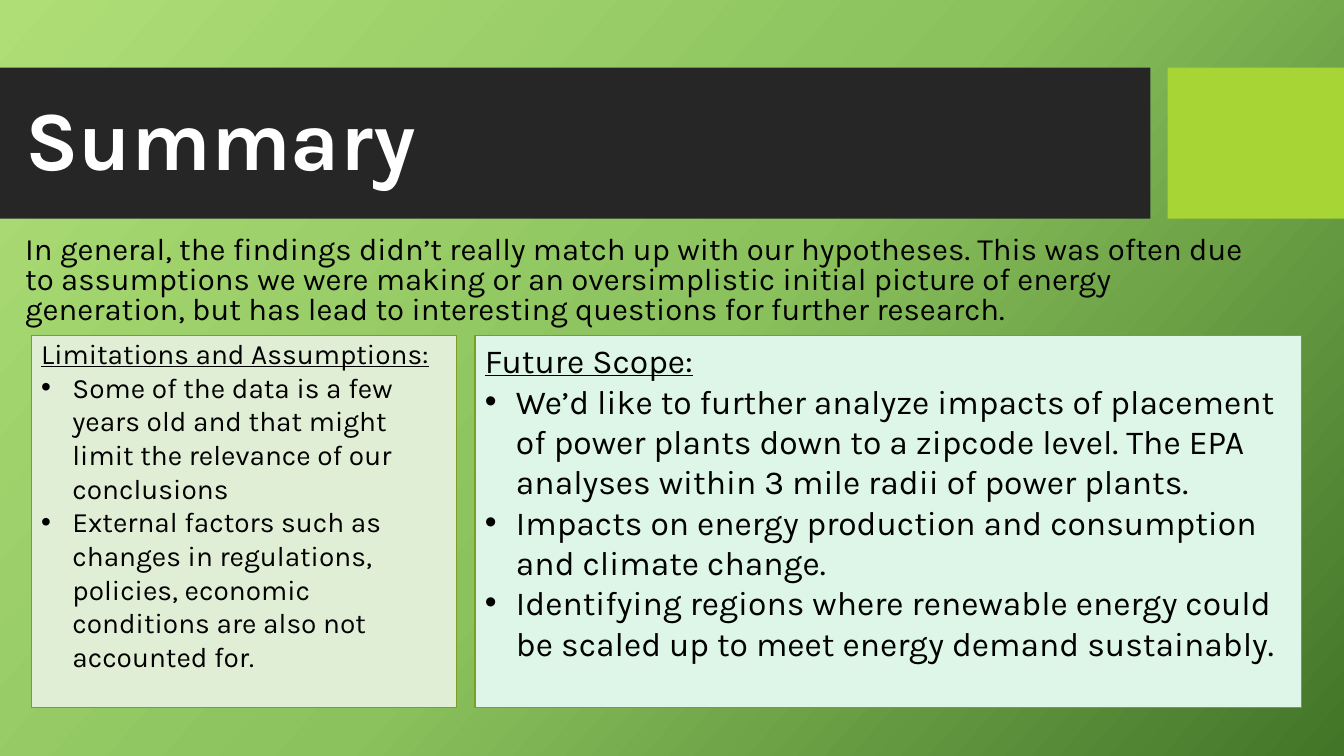
from copy import deepcopy

from pptx import Presentation
from pptx.dml.color import RGBColor
from pptx.enum.shapes import MSO_SHAPE
from pptx.enum.text import MSO_ANCHOR, MSO_AUTO_SIZE, PP_ALIGN
from pptx.oxml.ns import qn
from pptx.util import Inches, Pt
from lxml.etree import SubElement

FONT = "Karla"
WIDTH, HEIGHT = 13.33, 7.5
COLORS = {
    "sky": "AFDE77", "leaf": "8BC25D", "forest": "437528",
    "band": "262626", "lime": "A7D535", "border": "7C9E27",
    "sage": "E1EED6", "mint": "DDF6E7", "white": "FFFFFF", "black": "000000",
}
INTRO = ("In general, the findings didn’t really match up with our hypotheses. "
         "This was often due to assumptions we were making or an oversimplistic "
         "initial picture of energy generation, but has lead to interesting "
         "questions for further research.")
LIMITATIONS = [
    "Some of the data is a few years old and that might limit the relevance of "
    "our conclusions",
    "External factors such as changes in regulations, policies, economic "
    "conditions are also not accounted for.",
]
FUTURE = [
    "We’d like to further analyze impacts of placement of power plants down to a "
    "zipcode level. The EPA analyses within 3 mile radii of power plants.",
    "Impacts on energy production and consumption and climate change.",
    "Identifying regions where renewable energy could be scaled up to meet "
    "energy demand sustainably.",
]


def rgb(name):
    return RGBColor.from_string(COLORS[name])


def place(sp, box):
    sp.left, sp.top, sp.width, sp.height = [Inches(v) for v in box]


def write(p, text, size, color="black", bold=False, underline=False,
          bullet=False, spacing=1.0):
    p.alignment = PP_ALIGN.LEFT
    p.line_spacing = spacing
    p.space_before = p.space_after = Pt(0)
    pPr = p._p.get_or_add_pPr()
    indent = Inches(0.31) if bullet else 0
    pPr.set("marL", str(indent))
    pPr.set("indent", str(-indent))
    if bullet:
        SubElement(pPr, qn("a:buFont")).set("typeface", "Arial")
        SubElement(pPr, qn("a:buChar")).set("char", "•")
    else:
        SubElement(pPr, qn("a:buNone"))
    r = p.add_run()
    r.text = text
    font = r.font
    font.name, font.size = FONT, Pt(size)
    font.bold, font.underline = bold, underline
    font.color.rgb = rgb(color)


def add_rect(s, box, fill, line=None):
    sp = s.shapes.add_shape(MSO_SHAPE.RECTANGLE, *[Inches(v) for v in box])
    sp.shadow.inherit = False
    sp.fill.solid()
    sp.fill.fore_color.rgb = rgb(fill)
    if line:
        sp.line.color.rgb = rgb(line)
        sp.line.width = Pt(1)
    else:
        sp.line.fill.background()
    return sp


def set_background(s):
    fill = s.background.fill
    fill.gradient()
    fill.gradient_angle = 360 - 42
    stops = s.element.find(".//" + qn("a:gsLst"))
    stops.insert(1, deepcopy(stops[0]))
    for stop, pos, color in zip(fill.gradient_stops, (0, 0.5, 1),
                                ("sky", "leaf", "forest")):
        stop.position = pos
        stop.color.rgb = rgb(color)


def fill_placeholder(sp, box, anchor, text, size, **style):
    place(sp, box)
    tf = sp.text_frame
    tf.word_wrap = True
    tf.auto_size = MSO_AUTO_SIZE.NONE
    tf.vertical_anchor = anchor
    write(tf.paragraphs[0], text, size, **style)


def add_header(s, box, text):
    left, top, width, height = box
    gap, tile = 0.17, 1.75
    band = width - tile - gap
    add_rect(s, (left, top, band, height), "band")
    add_rect(s, (left + band + gap, top, tile, height), "lime")
    title = s.shapes.title
    fill_placeholder(title, (left + 0.15, top + 0.31, band, 0.89),
                     MSO_ANCHOR.MIDDLE, text, 60, color="white", bold=True,
                     spacing=0.9)
    # Bring the title in front of the band
    s.shapes._spTree.append(title._element)


def add_panel(s, box, fill, heading, items, size):
    tf = add_rect(s, box, fill, "border").text_frame
    tf.word_wrap = True
    tf.vertical_anchor = MSO_ANCHOR.MIDDLE
    # Keep one line free below the list
    tf.margin_bottom = Inches(0.05) + Pt(size * 1.2)
    write(tf.paragraphs[0], heading, size, underline=True)
    for item in items:
        write(tf.add_paragraph(), item, size, bullet=True)


def add_panels(s, box):
    left, top, width, height = box
    gap, narrow = 0.18, 4.22
    add_panel(s, (left, top, narrow, height), "sage",
              "Limitations and Assumptions:", LIMITATIONS, 20)
    add_panel(s, (left + narrow + gap, top, width - narrow - gap, height),
              "mint", "Future Scope:", FUTURE, 24)


def main():
    prs = Presentation()
    prs.slide_width, prs.slide_height = Inches(WIDTH), Inches(HEIGHT)
    s = prs.slides.add_slide(prs.slide_layouts[1])
    set_background(s)
    # Header band with title
    add_header(s, (0, 0.67, WIDTH, 1.5), "Summary")
    # Introduction
    fill_placeholder(s.placeholders[1], (0.15, 2.3, 12.6, 1.03),
                     MSO_ANCHOR.TOP, INTRO, 22.2, spacing=0.8)
    # Two panels
    add_panels(s, (0.31, 3.33, 12.6, 3.69))
    prs.save("out.pptx")


if __name__ == "__main__":
    main()
